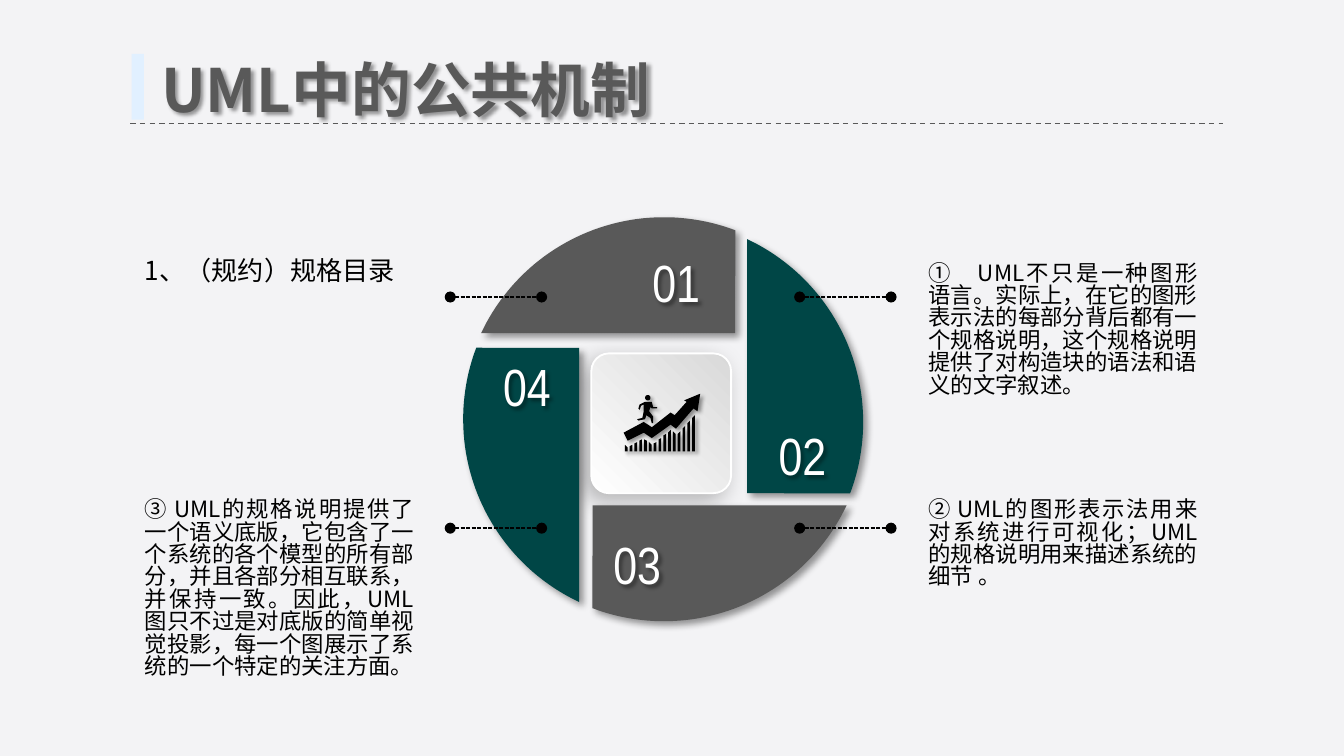
from dataclasses import dataclass
from math import atan2, cos, hypot, pi, sin

from pptx import Presentation
from pptx.dml.color import RGBColor
from pptx.enum.dml import MSO_LINE
from pptx.enum.shapes import MSO_CONNECTOR, MSO_SHAPE
from pptx.enum.text import MSO_ANCHOR, MSO_AUTO_SIZE, PP_ALIGN
from pptx.oxml import parse_xml
from pptx.oxml.ns import nsdecls, qn
from pptx.util import Inches, Pt

BACKGROUND = RGBColor(0xF3, 0xF3, 0xF5)
PALE_BLUE = RGBColor(0xE1, 0xF0, 0xFF)
GREY = RGBColor(0x59, 0x59, 0x59)
TEAL = RGBColor(0x00, 0x46, 0x46)
SILVER = RGBColor(0xD9, 0xD9, 0xD9)
WHITE = RGBColor(0xFF, 0xFF, 0xFF)
BLACK = RGBColor(0x00, 0x00, 0x00)
SANS = "Noto Sans CJK SC"
NARROW = "Arial Narrow"


@dataclass
class Shadow:
    alpha: int
    blur: float
    dist: float
    angle: int


@dataclass
class Blade:
    number: str
    center: tuple[float, float]
    label: tuple[float, float]
    color: RGBColor


@dataclass
class Caption:
    left: float
    top: float
    height: float
    size: int
    text: str


BLADE_SHADOW = Shadow(40, 4, 3, 45)
TEXT_SHADOW = Shadow(40, 2, 2, 45)
ICON_SHADOW = Shadow(40, 2, 2, 45)
CARD_SHADOW = Shadow(26, 12, 5, 135)

BLADES = [
    Blade("01", (4.94, 3.12), (4.69, 1.81), GREY),
    Blade("02", (4.92, 3.14), (5.63, 3.10), TEAL),
    Blade("03", (4.94, 3.12), (4.40, 3.91), GREY),
    Blade("04", (4.95, 3.12), (3.58, 2.59), TEAL),
]
CAPTIONS = [
    Caption(0.98, 1.91, 0.27, 14, "1、（规约）规格目录"),
    Caption(6.81, 1.91, 1.11, 12,
            "①　UML不只是一种图形语言。实际上，在它的图形表示法的每部分背后都有一个规格说明，"
            "这个规格说明提供了对构造块的语法和语义的文字叙述。"),
    Caption(6.81, 3.67, 0.77, 12,
            "② UML的图形表示法用来对系统进行可视化；UML的规格说明用来描述系统的细节 。"),
    Caption(0.98, 3.67, 1.45, 12,
            "③ UML的规格说明提供了一个语义底版，它包含了一个系统的各个模型的所有部分，"
            "并且各部分相互联系，并保持一致。因此，UML图只不过是对底版的简单视觉投影，"
            "每一个图展示了系统的一个特定的关注方面。"),
]

# Icon outlines: rising arrow, runner, and the sloping tops of the bars
ARROW = [(4.64, 3.22), (4.67, 3.28), (4.79, 3.22), (4.85, 3.26), (4.99, 3.16),
         (5.03, 3.19), (5.16, 3.04), (5.19, 3.06), (5.21, 2.93), (5.09, 2.98),
         (5.11, 2.99), (5.02, 3.09), (4.99, 3.07), (4.85, 3.18), (4.79, 3.14)]
RUNNER = [(4.75, 3.04), (4.76, 3.01), (4.8, 2.99), (4.85, 2.99), (4.86, 3.03),
          (4.89, 3.03), (4.89, 3.04), (4.85, 3.04), (4.84, 3.03), (4.83, 3.06),
          (4.86, 3.1), (4.86, 3.15), (4.85, 3.15), (4.84, 3.11), (4.81, 3.09),
          (4.8, 3.12), (4.75, 3.13), (4.74, 3.12), (4.78, 3.11), (4.79, 3.06),
          (4.79, 3.01), (4.77, 3.02), (4.76, 3.05)]
BAR_TOPS = [(3.31, 3.33), (3.32, 3.31), (3.30, 3.29), (3.28, 3.27), (3.27, 3.28),
            (3.29, 3.31), (3.30, 3.29), (3.27, 3.26), (3.24, 3.23), (3.22, 3.20),
            (3.21, 3.23), (3.23, 3.21), (3.19, 3.17), (3.15, 3.13), (3.11, 3.09)]
BAR_LEFT, BAR_RIGHT, BAR_WIDTH, BAR_BASE = 4.65, 5.15, 0.02, 3.36


def add_shadow(sp, shadow: Shadow) -> None:
    sp.shadow.inherit = False
    effects = sp._element.spPr.find(qn("a:effectLst"))
    effects.append(parse_xml(
        f'<a:outerShdw {nsdecls("a")} blurRad="{Pt(shadow.blur)}" dist="{Pt(shadow.dist)}" '
        f'dir="{shadow.angle * 60000}" algn="ctr" rotWithShape="0"><a:srgbClr val="000000">'
        f'<a:alpha val="{shadow.alpha * 1000}"/></a:srgbClr></a:outerShdw>'))


def write_text(sp, text: str, size: int, font: str, color: RGBColor,
               align: PP_ALIGN, spacing=None, bold: bool = False) -> None:
    tf = sp.text_frame
    frame = {"word_wrap": True, "auto_size": MSO_AUTO_SIZE.SHAPE_TO_FIT_TEXT,
             "vertical_anchor": MSO_ANCHOR.TOP}
    for name, value in frame.items():
        setattr(tf, name, value)
    p = tf.paragraphs[0]
    p.alignment, p.line_spacing = align, spacing
    r = p.add_run()
    r.text = text
    for name, value in {"size": Pt(size), "name": font, "bold": bold}.items():
        setattr(r.font, name, value)
    r.font.color.rgb = color
    r.font._element.append(parse_xml(f'<a:ea {nsdecls("a")} typeface="{font}"/>'))


def add_line(slide, x1: float, x2: float, y: float, color: RGBColor,
             dash: MSO_LINE, dots: bool = False) -> None:
    sp = slide.shapes.add_connector(
        MSO_CONNECTOR.STRAIGHT, Inches(x1), Inches(y), Inches(x2), Inches(y))
    sp.line.color.rgb = color
    sp.line.width, sp.line.dash_style = Pt(0.75), dash
    spPr = sp._element.spPr
    for end in ("headEnd", "tailEnd") if dots else ():
        spPr.find(qn("a:ln")).append(parse_xml(f'<a:{end} {nsdecls("a")} type="oval"/>'))
    spPr.append(parse_xml(f'<a:effectLst {nsdecls("a")}/>'))


def add_outline(slide, contours: list, color: RGBColor, shadow: Shadow) -> None:
    paths = [[(Inches(x), Inches(y)) for x, y in c] for c in contours]
    fb = slide.shapes.build_freeform(*paths[0][0])
    for i, points in enumerate(paths):
        if i:
            fb.move_to(*points[0])
        fb.add_line_segments(points[1:], close=True)
    sp = fb.convert_to_shape()
    sp.fill.solid()
    sp.fill.fore_color.rgb = color
    sp.line.fill.background()
    add_shadow(sp, shadow)


def blade_points(center: tuple[float, float], turns: int, steps: int = 48) -> list:
    """Circle segment with a square corner, turned clockwise by quarter turns."""
    start, end, corner = (-1.36, -0.64), (0.53, -1.40), (0.53, -0.64)
    radius = hypot(*start)
    a, b = atan2(start[1], start[0]), atan2(end[1], end[0])
    angles = [a + (b - a) * i / steps for i in range(steps + 1)]
    points = [(radius * cos(t), radius * sin(t)) for t in angles] + [corner]
    for _ in range(turns):
        points = [(-y, x) for x, y in points]
    return [(center[0] + x, center[1] + y) for x, y in points]


def add_blade(slide, blade: Blade, turns: int) -> None:
    add_outline(slide, [blade_points(blade.center, turns)], blade.color, BLADE_SHADOW)
    left, top = blade.label
    sp = slide.shapes.add_textbox(Inches(left), Inches(top), Inches(0.68), Inches(0.57))
    write_text(sp, blade.number, 28, NARROW, WHITE, PP_ALIGN.CENTER)
    add_shadow(sp, TEXT_SHADOW)


def add_caption(slide, c: Caption) -> None:
    sp = slide.shapes.add_textbox(
        Inches(c.left), Inches(c.top), Inches(2.2), Inches(c.height))
    write_text(sp, c.text, c.size, SANS, BLACK, PP_ALIGN.JUSTIFY, Pt(12))


# Widescreen page, 16 by 9
prs = Presentation()
prs.slide_width, prs.slide_height = Inches(10), Inches(10 * 9 / 16)
slide = prs.slides.add_slide(prs.slide_layouts[5])
slide.background.fill.solid()
slide.background.fill.fore_color.rgb = BACKGROUND

# Title with accent bar and rule
bar = slide.shapes.add_shape(
    MSO_SHAPE.RECTANGLE, Inches(0.98), Inches(0.4), Inches(0.09), Inches(0.49))
bar.fill.solid()
bar.fill.fore_color.rgb = PALE_BLUE
bar.line.fill.background()
bar.shadow.inherit = False
add_line(slide, 0.97, 9.1, 0.92, GREY, MSO_LINE.DASH)
title = slide.shapes.title
for name, value in {"left": 1.1, "top": 0.34, "width": 4.27, "height": 0.64}.items():
    setattr(title, name, Inches(value))
write_text(title, "UML中的公共机制", 32, SANS, GREY, PP_ALIGN.LEFT, bold=True)
add_shadow(title, TEXT_SHADOW)

# Central card and growth icon
card = slide.shapes.add_shape(
    MSO_SHAPE.ROUNDED_RECTANGLE, Inches(4.4), Inches(2.63), Inches(1.04), Inches(1.04))
card.adjustments[0] = 0.127
card.fill.gradient()
card.fill.gradient_angle = 45
for stop, color in zip(card.fill.gradient_stops, (WHITE, SILVER)):
    stop.color.rgb = color
card.line.color.rgb = WHITE
card.line.width = Pt(1)
add_shadow(card, CARD_SHADOW)

head = [(4.82 + 0.02 * cos(pi * i / 8), 2.96 + 0.02 * sin(pi * i / 8)) for i in range(16)]
bars = []
for i, (top_left, top_right) in enumerate(BAR_TOPS):
    x = BAR_LEFT + (BAR_RIGHT - BAR_LEFT) * i / (len(BAR_TOPS) - 1)
    right = x + BAR_WIDTH
    bars.append([(x, top_left), (right, top_right), (right, BAR_BASE), (x, BAR_BASE)])
add_outline(slide, [ARROW, RUNNER, head, *bars], BLACK, ICON_SHADOW)

# Pinwheel, leader lines and captions
for turns, blade in enumerate(BLADES):
    add_blade(slide, blade, turns)
for y in (2.21, 3.93):
    for x in (3.35, 5.95):
        add_line(slide, x, x + 0.68, y, BLACK, MSO_LINE.SQUARE_DOT, dots=True)
for caption in CAPTIONS:
    add_caption(slide, caption)

prs.save("out.pptx")
